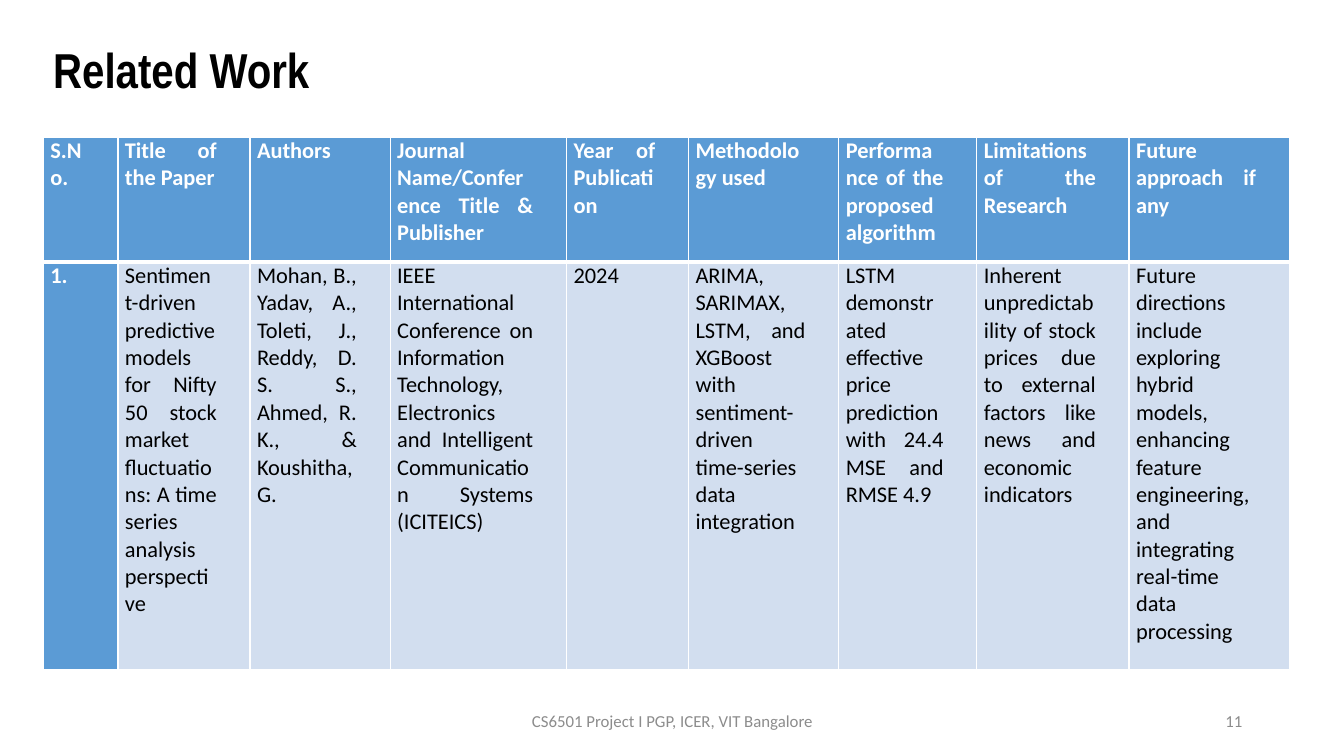
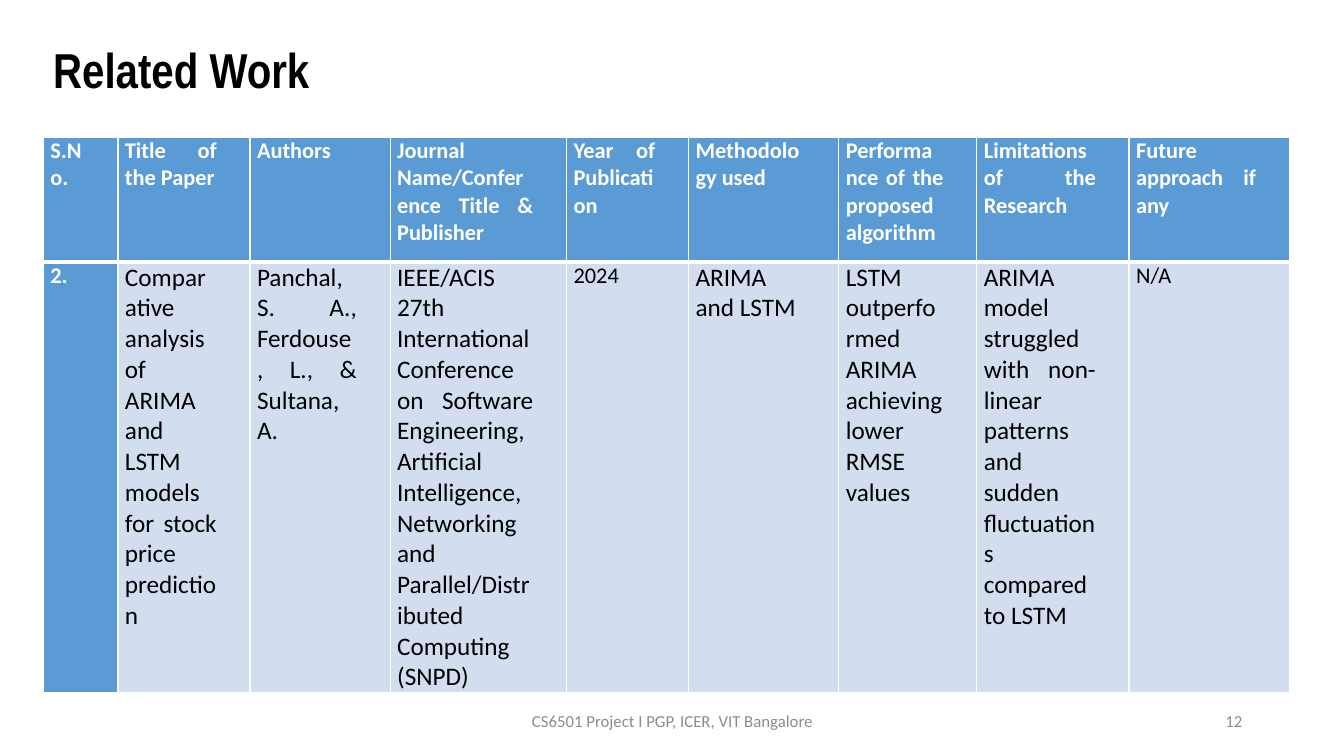
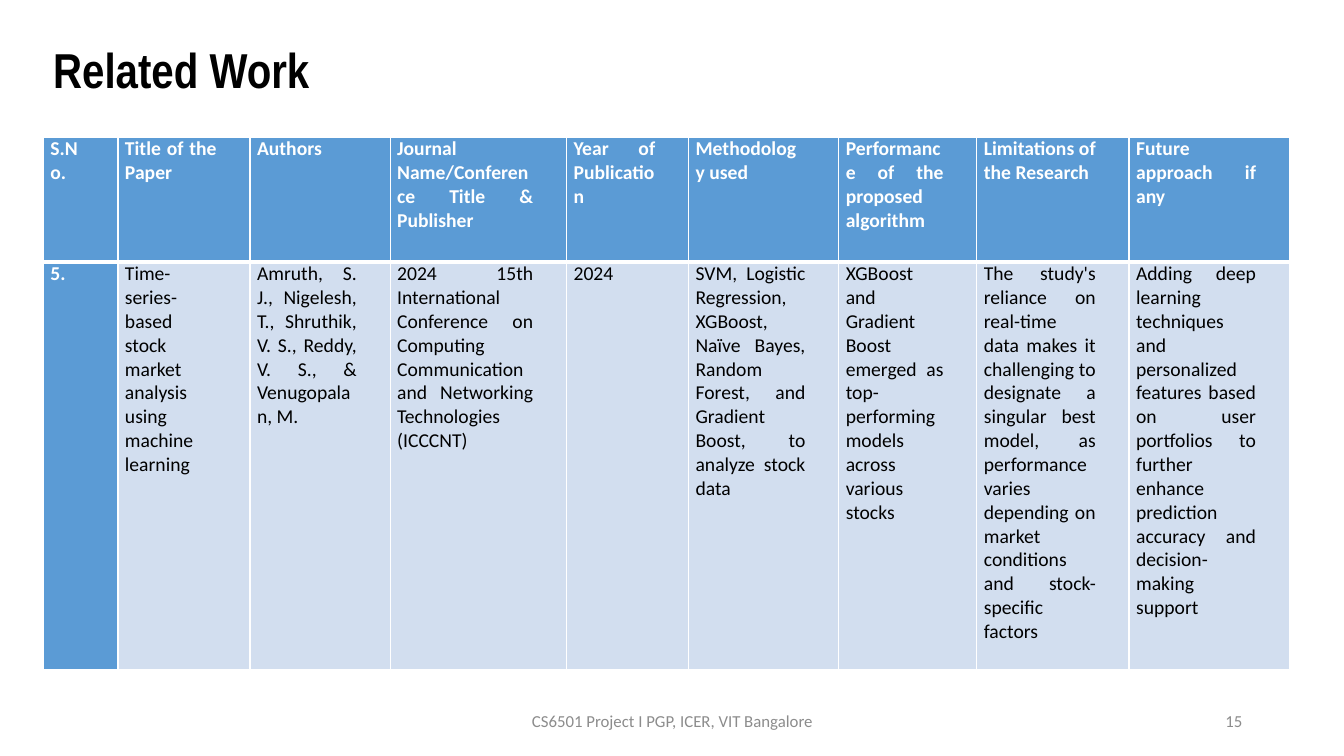
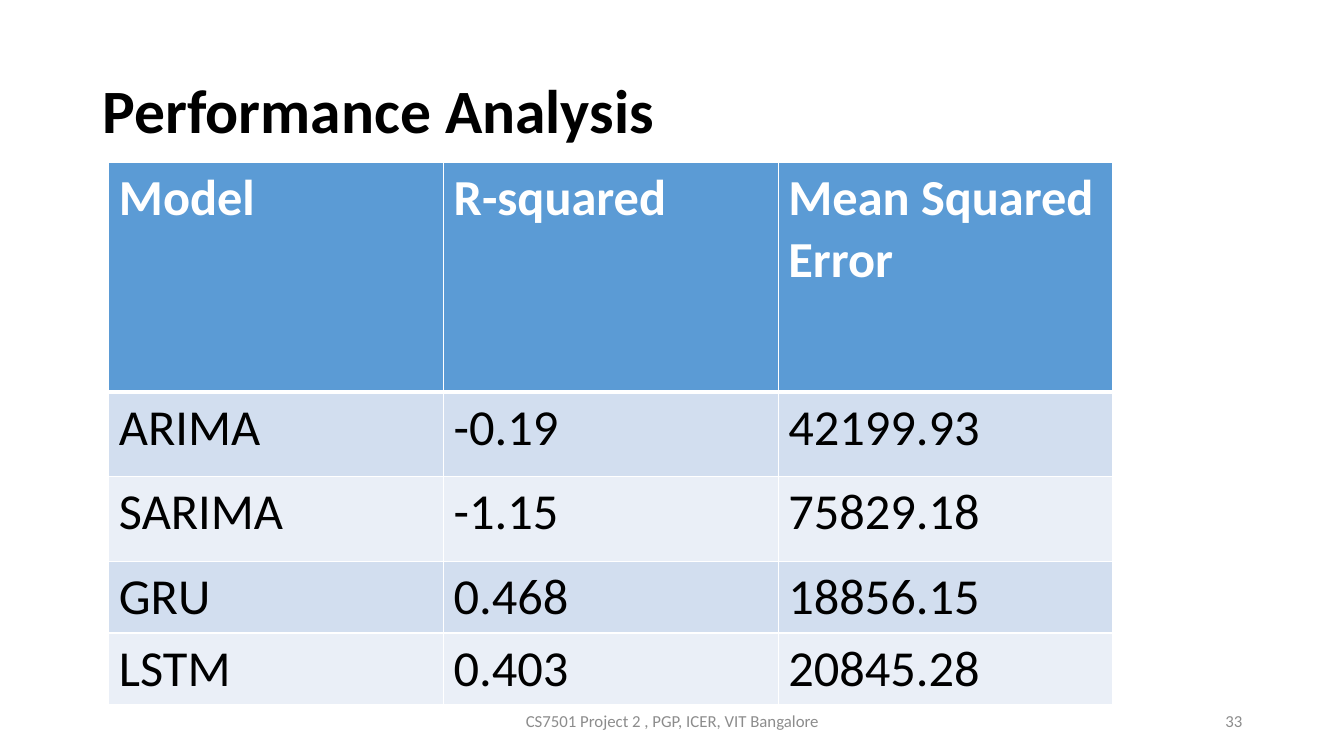
"""Build four slides: three literature review tables and one model comparison table."""
from dataclasses import dataclass

from lxml import etree
from pptx import Presentation
from pptx import util as u
from pptx.dml.color import RGBColor
from pptx.enum import text
from pptx.oxml import ns


@dataclass(frozen=True)
class Theme:
    font: str = "Calibri"
    title_font: str = "Arial Narrow"
    ink: str = "000000"
    paper: str = "FFFFFF"
    muted: str = "8C8C8C"
    accent: str = "5B9BD5"
    bands: tuple = ("D2DEEF", "EAEFF7")
    review_title: int = 35
    result_title: int = 44
    result: int = 36
    large: int = 18
    medium: int = 16
    small: int = 14
    footer: int = 12
    rule: int = 1
    header_rule: int = 3


THEME = Theme()
ALIGN = text.PP_ALIGN

REVIEW_FOOTER = "CS6501 Project I PGP, ICER, VIT Bangalore"
REVIEW_HEADER = [
    "S.No.", "Title of the Paper", "Authors", "Journal Name/Conference Title & Publisher",
    "Year of Publication", "Methodology used", "Performance of the proposed algorithm",
    "Limitations of the Research", "Future approach if any",
]
REVIEW_COLUMNS = [0.74, 1.31, 1.39, 1.75, 1.21, 1.49, 1.37, 1.51, 1.59]
REVIEW_HEADER_HEIGHT = 1.24
REVIEWS = [
    {
        "page": 11, "size": THEME.medium, "large_columns": (), "height": 4.04,
        "paper": [
            "1.",
            "Sentiment-driven predictive models for Nifty 50 stock market fluctuations: "
            "A time series analysis perspective",
            "Mohan, B., Yadav, A., Toleti, J., Reddy, D. S. S., Ahmed, R. K., & Koushitha, G.",
            "IEEE International Conference on Information Technology, Electronics and "
            "Intelligent Communication Systems (ICITEICS)",
            "2024",
            "ARIMA, SARIMAX, LSTM, and XGBoost with sentiment-driven time-series data integration",
            "LSTM demonstrated effective price prediction with 24.4 MSE and RMSE 4.9",
            "Inherent unpredictability of stock prices due to external factors like news and "
            "economic indicators",
            "Future directions include exploring hybrid models, enhancing feature engineering, "
            "and integrating real-time data processing",
        ],
    },
    {
        "page": 12, "size": THEME.medium, "large_columns": (1, 2, 3, 5, 6, 7), "height": 4.27,
        "paper": [
            "2.",
            "Comparative analysis of ARIMA and LSTM models for stock price prediction",
            "Panchal, S. A., Ferdouse, L., & Sultana, A.",
            "IEEE/ACIS 27th International Conference on Software Engineering, Artificial "
            "Intelligence, Networking and Parallel/Distributed Computing (SNPD)",
            "2024",
            "ARIMA and LSTM",
            "LSTM outperformed ARIMA achieving lower RMSE values",
            "ARIMA model struggled with non-linear patterns and sudden fluctuations compared to LSTM",
            "N/A",
        ],
    },
    {
        "page": 15, "size": THEME.small, "large_columns": (), "height": 4.04,
        "paper": [
            "5.",
            "Time-series-based stock market analysis using machine learning",
            "Amruth, S. J., Nigelesh, T., Shruthik, V. S., Reddy, V. S., & Venugopalan, M.",
            "2024 15th International Conference on Computing Communication and Networking "
            "Technologies (ICCCNT)",
            "2024",
            "SVM, Logistic Regression, XGBoost, Naïve Bayes, Random Forest, and Gradient Boost, "
            "to analyze stock data",
            "XGBoost and Gradient Boost emerged as top-performing models across various stocks",
            "The study's reliance on real-time data makes it challenging to designate a singular "
            "best model, as performance varies depending on market conditions and stock-specific "
            "factors",
            "Adding deep learning techniques and personalized features based on user portfolios "
            "to further enhance prediction accuracy and decision-making support",
        ],
    },
]

RESULT_FOOTER = "CS7501 Project 2 , PGP, ICER, VIT Bangalore"
RESULT_COLUMNS = [3.32] * 3
RESULT_ROWS = [2.28, 0.84, 0.84, 0.71, 0.71]
RESULTS = [
    ["Model", "R-squared", "Mean Squared Error"],
    ["ARIMA", "-0.19", "42199.93"],
    ["SARIMA", "-1.15", "75829.18"],
    ["GRU", "0.468", "18856.15"],
    ["LSTM", "0.403", "20845.28"],
]


def style_text(para, size, color, bold=False, font=THEME.font, align=ALIGN.LEFT):
    para.alignment = align
    para.font.name = font
    para.font.size = u.Pt(size)
    para.font.bold = bold
    para.font.color.rgb = RGBColor.from_string(color)


def add_text(page, wording, area, size, color, line_spacing=1.0, **style):
    box = page.shapes.add_textbox(*map(u.Inches, area))
    frame = box.text_frame
    frame.word_wrap = True
    frame.vertical_anchor = text.MSO_ANCHOR.MIDDLE
    para = frame.paragraphs[0]
    para.text = wording
    para.line_spacing = line_spacing
    style_text(para, size, color, **style)


def add_page(deck, title, corner, title_size, title_font, footer, number):
    page = deck.slides.add_slide(deck.slide_layouts[6])
    add_text(page, title, (*corner, 11.5, 1.45), title_size, THEME.ink,
             line_spacing=0.9, bold=True, font=title_font)
    for wording, left, width, align in (
        (footer, 4.42, 4.5, ALIGN.CENTER),
        (str(number), 9.42, 3, ALIGN.RIGHT),
    ):
        add_text(page, wording, (left, 6.95, width, 0.4), THEME.footer, THEME.muted, align=align)
    return page


def set_borders(cell, top, bottom):
    properties = cell._tc.get_or_add_tcPr()
    widths = {"lnL": THEME.rule, "lnR": THEME.rule, "lnT": top, "lnB": bottom}
    for index, (side, width) in enumerate(widths.items()):
        line = etree.Element(ns.qn(f"a:{side}"), w=str(u.Pt(width)))
        fill = etree.SubElement(line, ns.qn("a:solidFill"))
        etree.SubElement(fill, ns.qn("a:srgbClr"), val=THEME.paper)
        properties.insert(index, line)


def add_grid(page, rows, corner, widths, heights, size_of, margins,
             align=ALIGN.LEFT, lead_column=False):
    area = (*corner, sum(widths), sum(heights))
    table = page.shapes.add_table(len(rows), len(widths), *map(u.Inches, area)).table
    table.horz_banding = False
    for column, width in zip(table.columns, widths):
        column.width = u.Inches(width)
    for r, (row, height) in enumerate(zip(rows, heights)):
        table.rows[r].height = u.Inches(height)
        for c, wording in enumerate(row):
            cell = table.cell(r, c)
            strong = r == 0 or (lead_column and c == 0)
            cell.margin_left, cell.margin_top, cell.margin_right, cell.margin_bottom = map(
                u.Inches, margins)
            cell.fill.solid()
            cell.fill.fore_color.rgb = RGBColor.from_string(
                THEME.accent if strong else THEME.bands[(r - 1) % 2])
            set_borders(cell, THEME.header_rule if r == 1 else THEME.rule,
                        THEME.header_rule if r == 0 else THEME.rule)
            para = cell.text_frame.paragraphs[0]
            para.text = wording
            style_text(para, size_of(r, c), THEME.paper if strong else THEME.ink,
                       bold=strong, align=align)


def add_review(deck, review):
    def size_of(r, c):
        return THEME.large if r and c in review["large_columns"] else review["size"]

    page = add_page(deck, "Related Work", (0.43, 0), THEME.review_title, THEME.title_font,
                    REVIEW_FOOTER, review["page"])
    add_grid(page, [REVIEW_HEADER, review["paper"]], (0.43, 1.36), REVIEW_COLUMNS,
             [REVIEW_HEADER_HEIGHT, review["height"]], size_of, (0.07, 0, 0.33, 0),
             align=ALIGN.JUSTIFY, lead_column=True)


def add_results(deck):
    page = add_page(deck, "Performance Analysis", (0.92, 0.4), THEME.result_title, THEME.font,
                    RESULT_FOOTER, 33)
    add_grid(page, RESULTS, (1.08, 1.61), RESULT_COLUMNS, RESULT_ROWS,
             lambda r, c: THEME.result, (0.1, 0.05, 0.1, 0.05))


def main():
    deck = Presentation()
    deck.slide_width, deck.slide_height = u.Inches(13.33), u.Inches(7.5)
    for review in REVIEWS:
        add_review(deck, review)
    add_results(deck)
    deck.save("out.pptx")


if __name__ == "__main__":
    main()
